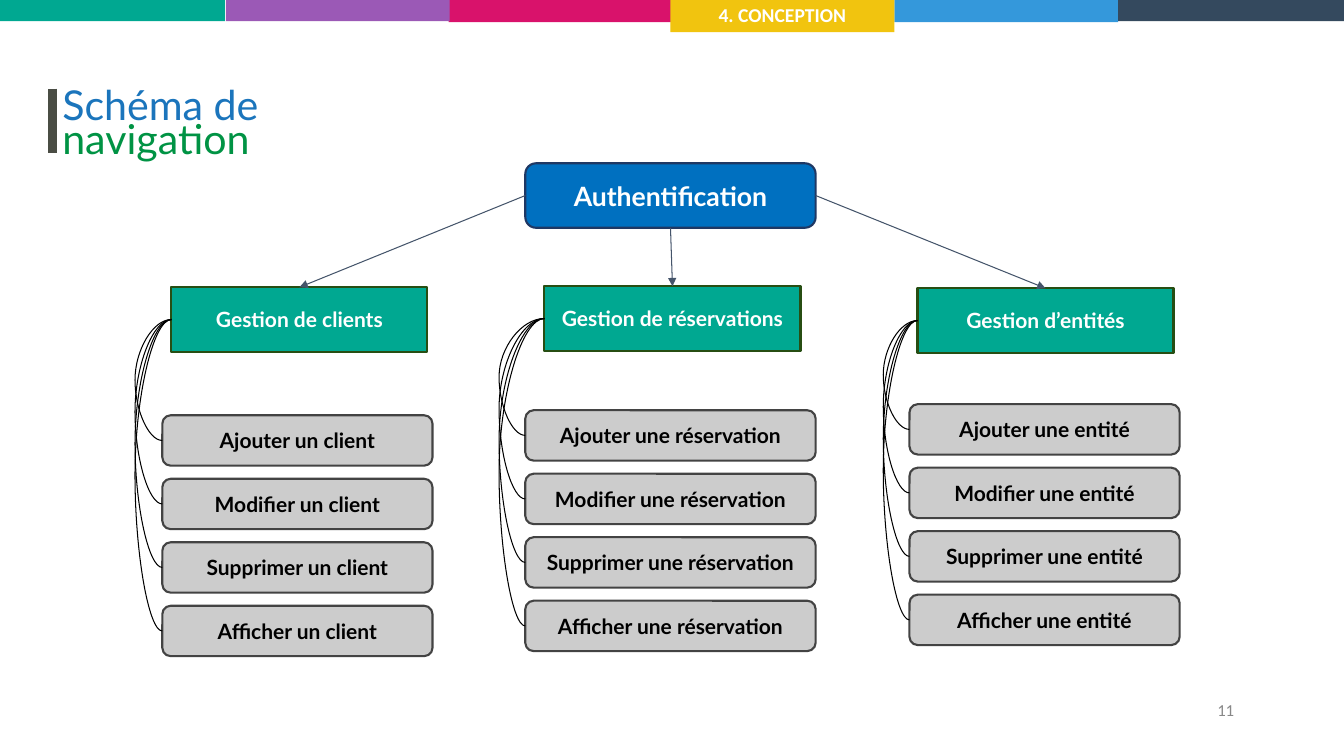
from lxml import etree
from pptx import Presentation
from pptx.dml.color import RGBColor
from pptx.enum.shapes import MSO_CONNECTOR, MSO_SHAPE
from pptx.enum.text import MSO_ANCHOR, PP_ALIGN
from pptx.oxml.ns import qn
from pptx.util import Pt

RECT = MSO_SHAPE.RECTANGLE
ROUNDED = MSO_SHAPE.ROUNDED_RECTANGLE
STRAIGHT = MSO_CONNECTOR.STRAIGHT
CURVE = MSO_CONNECTOR.CURVE
CENTER = PP_ALIGN.CENTER
RIGHT = PP_ALIGN.RIGHT
MIDDLE = MSO_ANCHOR.MIDDLE
TOP, LEFT, BOTTOM, SIDE_RIGHT = range(4)
PX = 9144

THEME = {
    "heading": "Lato", "body": "Calibri",
    "white": "FFFFFF", "black": "000000",
    "teal": "00A891", "purple": "9B59B6", "pink": "D9126B",
    "yellow": "F1C40F", "sky": "3498DB", "slate": "34495E",
    "title_blue": "1B75BC", "title_green": "009344", "title_bar": "4A4D44",
    "root": "0070C0", "root_line": "1F3864", "module_line": "274E13",
    "action": "CCCCCC", "action_line": "434343",
    "arrow": "44546A", "page": "888888",
    "title_size": 29.4, "root_size": 19, "box_size": 15,
    "tab_size": 14, "page_size": 12,
}


def add_box(kind, x, y, w, h, fill, line=None, text="", size="box_size",
            color="white", font="heading", pad=10):
    sp = slide.shapes.add_shape(kind, x * PX, y * PX, w * PX, h * PX)
    sp.shadow.inherit = False
    sp.fill.solid()
    sp.fill.fore_color.rgb = RGBColor.from_string(THEME[fill])
    if line:
        sp.line.color.rgb = RGBColor.from_string(THEME[line])
        sp.line.width = Pt(1.5)
    else:
        sp.line.fill.background()
    if text:
        tf = sp.text_frame
        tf.text = text
        tf.word_wrap = True
        tf.vertical_anchor = MIDDLE
        tf.margin_left = tf.margin_right = 10 * PX
        tf.margin_top = tf.margin_bottom = pad * PX
        p = tf.paragraphs[0]
        p.alignment = CENTER
        p.font.name = THEME[font]
        p.font.size = Pt(THEME[size])
        p.font.bold = True
        p.font.color.rgb = RGBColor.from_string(THEME[color])
    return sp


def add_line(kind, color, width, x1=0, y1=0, x2=0, y2=0, begin=None, end=None):
    cn = slide.shapes.add_connector(kind, x1 * PX, y1 * PX, x2 * PX, y2 * PX)
    if begin:
        cn.begin_connect(*begin)
        cn.end_connect(*end)
    cn.line.color.rgb = RGBColor.from_string(THEME[color])
    cn.line.width = Pt(width)
    etree.SubElement(cn._element.spPr, qn("a:effectLst"))
    return cn


prs = Presentation()
prs.slide_width = 1333 * PX
prs.slide_height = 750 * PX
slide = prs.slides.add_slide(prs.slide_layouts[6])

for x, w, h, fill in [
    (445, 222, 22, "pink"),
    (887, 222, 22, "sky"),
    (1109, 225, 21, "slate"),
    (-1, 224, 21, "teal"),
    (224, 222, 21, "purple"),
]:
    add_box(RECT, x, 0, w, h, fill)
add_box(RECT, 665, -2, 222, 34, "yellow", text="4. CONCEPTION",
        size="tab_size", font="body", pad=5)

tf = slide.shapes.add_textbox(52 * PX, 87 * PX, 1150 * PX, 81 * PX).text_frame
tf.word_wrap = True
tf.text = "Schéma de\nnavigation"
for p, color in zip(tf.paragraphs, ("title_blue", "title_green")):
    p.line_spacing = 0.7
    p.font.name = THEME["heading"]
    p.font.size = Pt(THEME["title_size"])
    p.font.color.rgb = RGBColor.from_string(THEME[color])
add_line(STRAIGHT, "title_bar", 6, 52, 88, 52, 152)

tf = slide.shapes.add_textbox(934 * PX, 684 * PX, 300 * PX, 40 * PX).text_frame
tf.word_wrap = True
tf.vertical_anchor = MIDDLE
tf.text = "11"
p = tf.paragraphs[0]
p.alignment = RIGHT
p.font.name = THEME["body"]
p.font.size = Pt(THEME["page_size"])
p.font.color.rgb = RGBColor.from_string(THEME["page"])

root = add_box(ROUNDED, 521, 162, 288, 64, "root", "root_line",
               "Authentification", "root_size")

modules = [
    ("Gestion de clients", "un client", 170, 285, 161, 412, 268, 134, LEFT),
    ("Gestion de réservations", "une réservation", 540, 284, 521, 407, 288, 495, BOTTOM),
    ("Gestion d’entités", "une entité", 910, 286, 902, 401, 268, 876, SIDE_RIGHT),
]
verbs = ["Ajouter", "Modifier", "Supprimer", "Afficher"]

for name, item, x, y, action_x, action_y, action_w, bend_x, root_side in modules:
    module = add_box(RECT, x, y, 254, 64, "teal", "module_line", name)
    arrow = add_line(STRAIGHT, "arrow", 0.75,
                     begin=(root, root_side), end=(module, TOP))
    etree.SubElement(arrow.line._get_or_add_ln(), qn("a:tailEnd"), type="triangle")
    for i, verb in enumerate(verbs):
        action = add_box(ROUNDED, action_x, action_y + 63 * i, action_w, 50,
                         "action", "action_line", f"{verb} {item}", color="black")
        curve = add_line(CURVE, "black", 0.75,
                         begin=(module, LEFT), end=(action, LEFT))
        bend = round((x - bend_x) / (x - action_x) * 100000)
        guides = curve._element.spPr.find(qn("a:prstGeom")).get_or_add_avLst()
        etree.SubElement(guides, qn("a:gd"), name="adj1", fmla=f"val {bend}")

prs.save("out.pptx")
